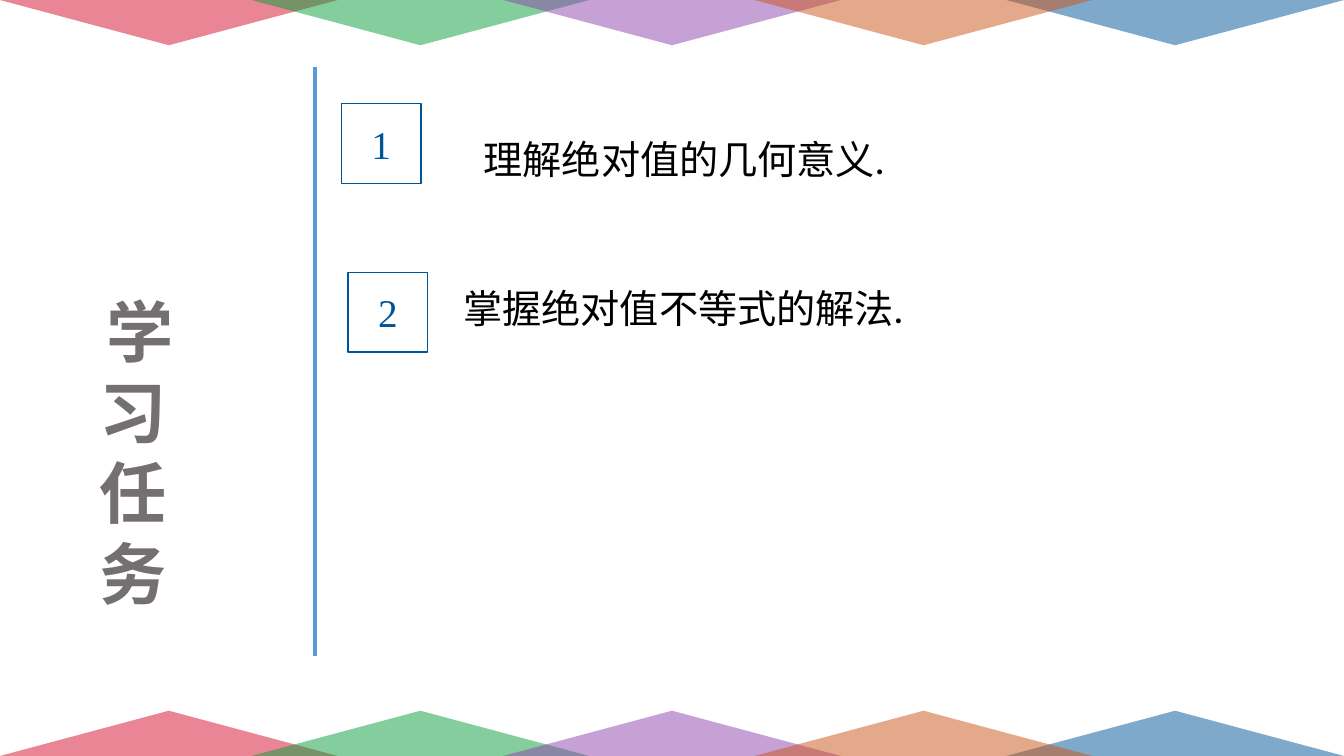
from dataclasses import dataclass

from lxml.etree import SubElement
from pptx import Presentation
from pptx.dml.color import RGBColor
from pptx.enum.shapes import MSO_CONNECTOR, MSO_SHAPE
from pptx.enum.text import MSO_ANCHOR, MSO_AUTO_SIZE, PP_ALIGN
from pptx.oxml.ns import qn
from pptx.util import Cm, Pt


@dataclass(frozen=True)
class Theme:
    red: str = "D50D2A"
    green: str = "099F3B"
    purple: str = "8D44AD"
    orange: str = "CB5518"
    blue: str = "005596"
    divider: str = "5B9BD5"
    title: str = "757070"
    body: str = "000000"
    title_size: int = 48
    body_size: int = 28
    text_font: str = "Lato"
    number_font: str = "Times New Roman"


THEME = Theme()
PAGE_WIDTH, PAGE_HEIGHT = 33.87, 19.05
TRIANGLE_WIDTH, TRIANGLE_HEIGHT = 8.51, 1.14
TRIANGLE_STEP = (PAGE_WIDTH - TRIANGLE_WIDTH) / 4
BADGE_SIZE = 2.01


def write_text(frame, text, *, size=THEME.body_size, font=THEME.text_font,
               color=THEME.body, bold=False, align=PP_ALIGN.LEFT, spacing=None):
    para = frame.paragraphs[0]
    para.alignment = align
    para.line_spacing = spacing
    span = para.add_run()
    span.text = text
    span.font.size = Pt(size)
    span.font.name = font
    span.font.bold = bold
    span.font.color.rgb = RGBColor.from_string(color)


def add_text(page, text, left, top, width, height, *, wrap=True, **text_format):
    box = page.shapes.add_textbox(Cm(left), Cm(top), Cm(width), Cm(height))
    box.text_frame.word_wrap = wrap
    box.text_frame.auto_size = MSO_AUTO_SIZE.SHAPE_TO_FIT_TEXT
    write_text(box.text_frame, text, **text_format)


def add_triangle(page, column, top, color, rotation):
    triangle = page.shapes.add_shape(
        MSO_SHAPE.ISOSCELES_TRIANGLE, Cm(column * TRIANGLE_STEP), Cm(top),
        Cm(TRIANGLE_WIDTH), Cm(TRIANGLE_HEIGHT))
    triangle.rotation = rotation
    triangle.shadow.inherit = False
    triangle.line.fill.background()
    triangle.fill.solid()
    triangle.fill.fore_color.rgb = RGBColor.from_string(color)
    tint = triangle.fill._xPr.find(qn("a:solidFill"))[0]
    SubElement(tint, qn("a:alpha"), val="50000")


def add_border(page, top, rotation):
    layers = [(0, THEME.red), (4, THEME.blue), (1, THEME.green),
              (2, THEME.purple), (3, THEME.orange)]
    for column, color in layers:
        add_triangle(page, column, top, color, rotation)


def add_divider(page, left, top, bottom):
    divider = page.shapes.add_connector(
        MSO_CONNECTOR.STRAIGHT, Cm(left), Cm(top), Cm(left), Cm(bottom))
    divider.line.color.rgb = RGBColor.from_string(THEME.divider)
    divider.line.width = Pt(3)
    SubElement(divider._element.spPr, qn("a:effectLst"))


def add_badge(page, number, left, top):
    badge = page.shapes.add_shape(
        MSO_SHAPE.RECTANGLE, Cm(left), Cm(top), Cm(BADGE_SIZE), Cm(BADGE_SIZE))
    badge.shadow.inherit = False
    badge.fill.background()
    badge.line.color.rgb = RGBColor.from_string(THEME.blue)
    badge.line.width = Pt(1)
    badge.text_frame.vertical_anchor = MSO_ANCHOR.MIDDLE
    write_text(badge.text_frame, number, font=THEME.number_font,
               color=THEME.blue, align=PP_ALIGN.CENTER)


def main():
    deck = Presentation()
    deck.slide_width, deck.slide_height = Cm(PAGE_WIDTH), Cm(PAGE_HEIGHT)
    page = deck.slides.add_slide(deck.slide_layouts[6])

    add_border(page, PAGE_HEIGHT - TRIANGLE_HEIGHT, 0)
    add_border(page, 0, 180)
    add_text(page, " 学习任务", 1.6, 7.19, 3.5, 8.46, size=THEME.title_size,
             color=THEME.title, bold=True, align=PP_ALIGN.CENTER)
    add_divider(page, 7.93, 1.7, 16.53)

    add_badge(page, "1", 8.6, 2.61)
    add_badge(page, "2", 8.77, 6.86)
    add_text(page, "理解绝对值的几何意义.", 11.94, 2.69, 10.87, 2.06,
             wrap=False, align=PP_ALIGN.JUSTIFY, spacing=1.5)
    add_text(page, "掌握绝对值不等式的解法.", 11.43, 6.45, 22.33, 2.06, spacing=1.5)

    deck.save("out.pptx")


if __name__ == "__main__":
    main()
